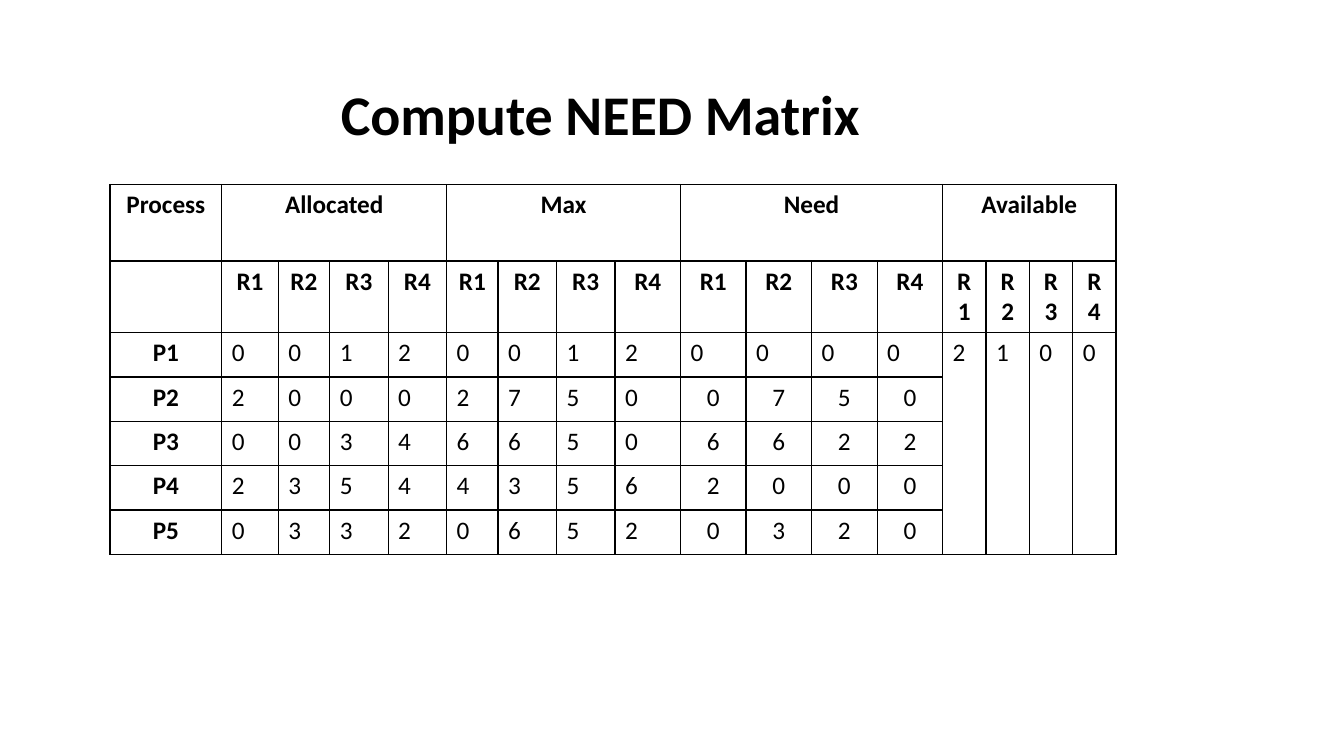
from lxml.etree import SubElement
from pptx import Presentation
from pptx.dml.color import RGBColor
from pptx.enum.text import MSO_ANCHOR, MSO_AUTO_SIZE, PP_ALIGN
from pptx.oxml.ns import qn
from pptx.util import Inches, Pt

FONT = "Calibri"
BLACK = "000000"
GROUPS = ["Allocated", "Max", "Need", "Available"]
RESOURCES = ["R1", "R2", "R3", "R4"]
# Allocated, Max and Need of each process, one digit per resource
PROCESSES = {
    "P1": "0012 0012 0000",
    "P2": "2000 2750 0750",
    "P3": "0034 6650 6622",
    "P4": "2354 4356 2000",
    "P5": "0332 0652 0320",
}
AVAILABLE = "2100"
COLUMN_WIDTHS = [1.11, 0.56, 0.51, 0.58, 0.58, 0.51, 0.58, 0.58] + [0.65] * 5 + [0.43] * 4
ROW_HEIGHTS = [0.76, 0.71] + [0.44] * len(PROCESSES)
FIRST_NEED = 9
FIRST_AVAILABLE = 13


def color(value):
    return RGBColor.from_string(value)


def write(frame, text, size=18, bold=False, align=PP_ALIGN.LEFT):
    para = frame.paragraphs[0]
    para.alignment = align
    para.font.size = Pt(size)
    if text:
        span = para.add_run()
        span.text = text
        span.font.name = FONT
        span.font.size = Pt(size)
        span.font.bold = bold
        span.font.color.rgb = color(BLACK)


def outline(cell):
    """Draw a thin line on all four sides of a cell."""
    properties = cell._tc.get_or_add_tcPr()
    for side in ("a:lnL", "a:lnR", "a:lnT", "a:lnB"):
        line = SubElement(properties, qn(side), w=str(Pt(1)))
        fill = SubElement(line, qn("a:solidFill"))
        SubElement(fill, qn("a:srgbClr"), val=BLACK)


def add_title(page, left, top, width, height):
    title = page.shapes.title
    title.left, title.top = Inches(left), Inches(top)
    title.width, title.height = Inches(width), Inches(height)
    frame = title.text_frame
    frame.auto_size = MSO_AUTO_SIZE.NONE
    frame.vertical_anchor = MSO_ANCHOR.BOTTOM
    frame.margin_left = Inches(1.21)
    frame.margin_bottom = 0
    frame.paragraphs[0].line_spacing = 0.9
    write(frame, "Compute NEED Matrix", size=40, bold=True)


def matrix_rows():
    """Return the text of every cell, row by row."""
    headings = ["Process"]
    for group in GROUPS:
        headings += [group, "", "", ""]
    rows = [headings, [""] + RESOURCES * len(GROUPS)]
    for name, digits in PROCESSES.items():
        available = AVAILABLE if name == "P1" else [""] * len(AVAILABLE)
        rows.append([name, *digits.replace(" ", ""), *available])
    return rows


def add_matrix(page, left, top):
    rows = matrix_rows()
    table = page.shapes.add_table(
        len(rows), len(COLUMN_WIDTHS), Inches(left), Inches(top),
        Inches(sum(COLUMN_WIDTHS)), Inches(sum(ROW_HEIGHTS))).table
    table.first_row = table.horz_banding = False
    for column, width in zip(table.columns, COLUMN_WIDTHS):
        column.width = Inches(width)
    for row, height in zip(table.rows, ROW_HEIGHTS):
        row.height = Inches(height)

    for r, texts in enumerate(rows):
        for c, text in enumerate(texts):
            cell = table.cell(r, c)
            outline(cell)
            cell.fill.background()
            heading = r < 2 or c == 0
            computed = r > 2 and FIRST_NEED <= c < FIRST_AVAILABLE
            align = PP_ALIGN.CENTER if heading or computed else PP_ALIGN.LEFT
            write(cell.text_frame, text, bold=heading, align=align)

    for first in range(1, len(COLUMN_WIDTHS), len(RESOURCES)):
        table.cell(0, first).merge(table.cell(0, first + len(RESOURCES) - 1))
    for c in range(FIRST_AVAILABLE, len(COLUMN_WIDTHS)):
        table.cell(2, c).merge(table.cell(len(rows) - 1, c))


def main():
    deck = Presentation()
    deck.slide_width, deck.slide_height = Inches(13.33), Inches(7.5)
    page = deck.slides.add_slide(deck.slide_layouts[5])
    add_title(page, 2.17, 0.38, 8.92, 1.08)
    add_matrix(page, 1.09, 1.83)
    deck.save("out.pptx")


if __name__ == "__main__":
    main()
